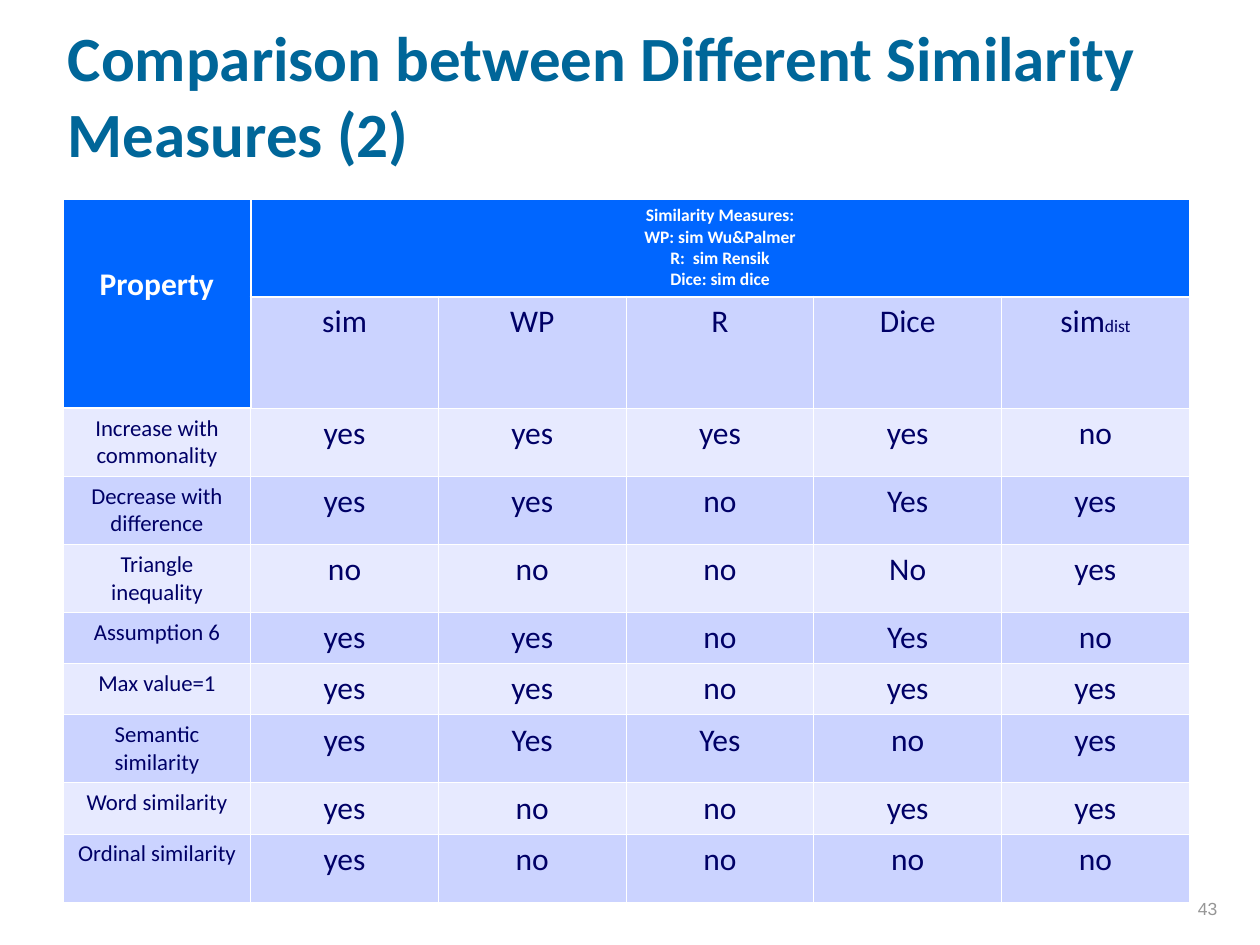
from dataclasses import dataclass

from lxml import etree
from pptx import Presentation
from pptx.dml.color import RGBColor
from pptx.enum.text import MSO_ANCHOR, PP_ALIGN
from pptx.oxml.ns import qn
from pptx.util import Inches, Pt

LEFT, CENTER, RIGHT = PP_ALIGN.LEFT, PP_ALIGN.CENTER, PP_ALIGN.RIGHT
BOTTOM = MSO_ANCHOR.BOTTOM

COLORS = {
    "title": "006699",
    "header": "0066FF",
    "dark_band": "CBD3FF",
    "light_band": "E7EAFF",
    "body": "000066",
    "white": "FFFFFF",
    "number": "969696",
}
THIN, THICK = 0.45, 1.47
COL_WIDTH = 1.49
ROW_HEIGHTS = [0.77, 0.87, 0.54, 0.54, 0.54, 0.4, 0.4, 0.54, 0.4, 0.54]

NOTES = [
    "Similarity Measures:",
    "WP: sim Wu&Palmer",
    "R:  sim Rensik",
    "Dice: sim dice",
]
MEASURES = ["sim", "WP", "R", "Dice", "sim"]
PROPERTIES = [
    ("Increase with commonality", "yes yes yes yes no"),
    ("Decrease with difference", "yes yes no Yes yes"),
    ("Triangle inequality", "no no no No yes"),
    ("Assumption 6", "yes yes no Yes no"),
    ("Max value=1", "yes yes no yes yes"),
    ("Semantic similarity", "yes Yes Yes no yes"),
    ("Word similarity", "yes no no yes yes"),
    ("Ordinal similarity", "yes no no no no"),
]


@dataclass
class Style:
    size: float
    color: str
    bold: bool = False
    font: str = "Calibri"
    align: PP_ALIGN = CENTER


TITLE = Style(36, "title", True, align=LEFT)
HEADER = Style(18, "white", True)
NOTE = Style(10, "white", True)
LABEL = Style(13, "body")
VALUE = Style(18, "body")
SUFFIX = Style(10, "body")
NUMBER = Style(10, "number", font="Arial", align=RIGHT)


@dataclass
class TextBox:
    text: str
    style: Style
    at: tuple
    margins: dict


BOXES = [
    TextBox("Comparison between Different Similarity Measures (2)", TITLE,
            (0.44, 0.12, 8.97, 1.25), {"margin_top": 0, "margin_bottom": 0.02}),
    TextBox("43", NUMBER, (7.68, 6.84, 2.08, 0.5), {}),
]


def add_run(p, text: str, style: Style) -> None:
    r = p.add_run()
    r.text = text
    fmt = {"size": Pt(style.size), "bold": style.bold, "name": style.font}
    for name, value in fmt.items():
        setattr(r.font, name, value)
    r.font.color.rgb = RGBColor.from_string(COLORS[style.color])


def write(tf, lines: list, style: Style) -> None:
    for i, line in enumerate(lines):
        p = tf.add_paragraph() if i else tf.paragraphs[0]
        p.alignment = style.align
        add_run(p, line, style)


def add_text(slide, box: TextBox) -> None:
    tf = slide.shapes.add_textbox(*map(Inches, box.at)).text_frame
    fmt = {"word_wrap": True, "vertical_anchor": BOTTOM}
    fmt.update({name: Inches(value) for name, value in box.margins.items()})
    for name, value in fmt.items():
        setattr(tf, name, value)
    write(tf, [box.text], box.style)


def vertical_width(row: int, col: int) -> float:
    return THICK if row < 2 and col == 1 else THIN


def horizontal_width(row: int, col: int) -> float:
    return THICK if row == (1 if col else 2) else THIN


def add_borders(cell, row: int, col: int) -> None:
    widths = {
        "a:lnL": vertical_width(row, col),
        "a:lnR": vertical_width(row, col + 1),
        "a:lnT": horizontal_width(row, col),
        "a:lnB": horizontal_width(row + 1, col),
    }
    tcPr = cell._tc.get_or_add_tcPr()
    for tag, width in widths.items():
        ln = etree.SubElement(tcPr, qn(tag), w=str(int(Pt(width))))
        fill = etree.SubElement(ln, qn("a:solidFill"))
        etree.SubElement(fill, qn("a:srgbClr"), val=COLORS["white"])


def band(row: int, col: int) -> str:
    if row == 0 or (row == 1 and col == 0):
        return "header"
    return "dark_band" if row % 2 else "light_band"


def add_comparison(slide) -> None:
    rows, cols = len(ROW_HEIGHTS), len(MEASURES) + 1
    table = slide.shapes.add_table(
        rows, cols, Inches(0.5), Inches(1.58),
        Inches(COL_WIDTH * cols), Inches(sum(ROW_HEIGHTS))).table
    for column in table.columns:
        column.width = Inches(COL_WIDTH)
    for i, height in enumerate(ROW_HEIGHTS):
        table.rows[i].height = Inches(height)
        for j in range(cols):
            cell = table.cell(i, j)
            add_borders(cell, i, j)
            cell.fill.solid()
            cell.fill.fore_color.rgb = RGBColor.from_string(COLORS[band(i, j)])

    corner, heading = table.cell(0, 0), table.cell(0, 1)
    corner.merge(table.cell(1, 0))
    heading.merge(table.cell(0, cols - 1))
    corner.margin_top = Inches(0.53)
    write(corner.text_frame, ["Property"], HEADER)
    write(heading.text_frame, NOTES, NOTE)
    for j, measure in enumerate(MEASURES, 1):
        write(table.cell(1, j).text_frame, [measure], VALUE)
    add_run(table.cell(1, cols - 1).text_frame.paragraphs[0], "dist", SUFFIX)
    for i, (label, answers) in enumerate(PROPERTIES, 2):
        write(table.cell(i, 0).text_frame, [label], LABEL)
        for j, answer in enumerate(answers.split(), 1):
            write(table.cell(i, j).text_frame, [answer], VALUE)


def main() -> None:
    """Build the similarity measure comparison slide."""
    prs = Presentation()
    prs.slide_width, prs.slide_height = Inches(10), Inches(7.5)
    s = prs.slides.add_slide(prs.slide_layouts[6])
    add_comparison(s)
    for box in BOXES:
        add_text(s, box)
    prs.save("out.pptx")


if __name__ == "__main__":
    main()
